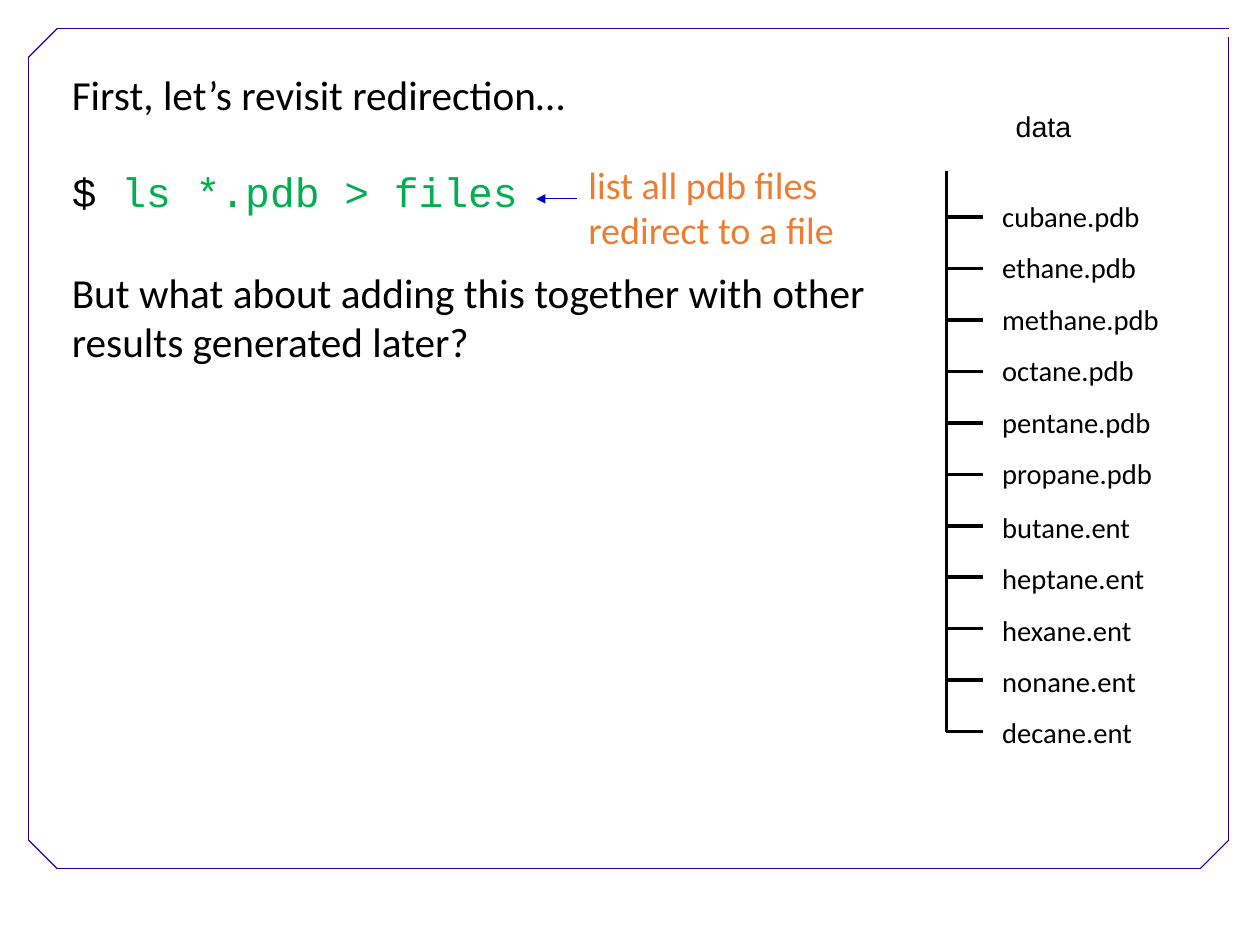
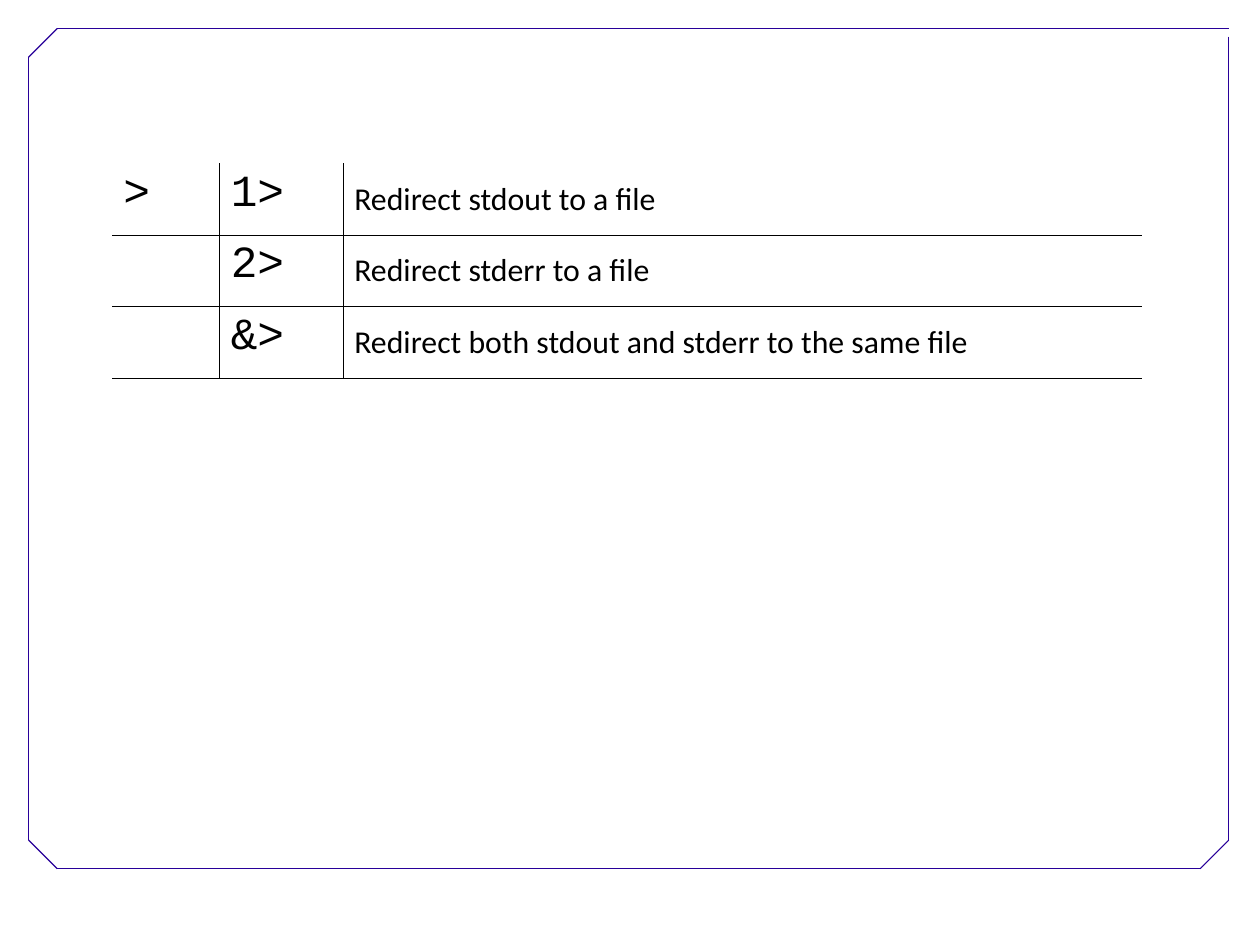
from itertools import pairwise

from lxml import etree
from pptx import Presentation
from pptx import util as u
from pptx.dml.color import RGBColor
from pptx.enum import shapes, text
from pptx.oxml import ns

COLORS = {"frame": "280099", "ink": "000000", "code": "00B050",
          "note": "ED7D31", "arrow": "0000CC"}
BODY, CODE, LABEL = "Calibri", "Courier New", "Arial"
PLAIN_TABLE = "{2D5ABB26-0587-4C30-8999-92F81FD0307C}"
# Open outline with cut corners, running clockwise from the right side
FRAME = [(10.75, 0.32), (10.75, 7.35), (10.5, 7.6), (0.5, 7.6),
         (0.25, 7.35), (0.25, 0.5), (0.5, 0.25), (10.75, 0.25)]


def rgb(color):
    return RGBColor.from_string(COLORS[color])


class Slides:
    def __init__(self):
        self.deck = Presentation()
        # The page is 28 by 21 cm
        self.deck.slide_width = u.Cm(28)
        self.deck.slide_height = u.Cm(21)
        self.page = None

    def new_page(self):
        self.page = self.deck.slides.add_slide(self.deck.slide_layouts[6])
        for start, end in pairwise(FRAME):
            self.line(start, end, "frame")

    def line(self, start, end, color="ink", width=0.75, arrow=False):
        ends = [u.Inches(value) for value in (*start, *end)]
        line = self.page.shapes.add_connector(shapes.MSO_CONNECTOR.STRAIGHT, *ends)
        line.line.color.rgb = rgb(color)
        line.line.width = u.Pt(width)
        if arrow:
            outline = line._element.spPr.find(ns.qn("a:ln"))
            etree.SubElement(outline, ns.qn("a:tailEnd"), type="triangle")
        etree.SubElement(line._element.spPr, ns.qn("a:effectLst"))

    def style(self, font, name, size, color="ink"):
        font.name = name
        font.size = u.Pt(size)
        font.color.rgb = rgb(color)

    def text(self, place, lines, size, font=BODY, color="ink", wrap=True,
             spacing=None, align=None):
        """Write one paragraph per line and return the paragraphs."""
        box = self.page.shapes.add_textbox(*map(u.Inches, place))
        frame = box.text_frame
        frame.word_wrap = wrap
        if not wrap:
            frame.auto_size = text.MSO_AUTO_SIZE.SHAPE_TO_FIT_TEXT
        frame.text = "\n".join(lines)
        for para in frame.paragraphs:
            para.line_spacing = spacing
            para.alignment = align
            self.style(para.font, font, size, color)
        return frame.paragraphs

    def border(self, cell, sides):
        props = cell._tc.get_or_add_tcPr()
        for side in sides:
            edge = etree.SubElement(props, ns.qn(f"a:ln{side}"), w=str(u.Pt(0.45)))
            fill = etree.SubElement(edge, ns.qn("a:solidFill"))
            etree.SubElement(fill, ns.qn("a:srgbClr"), val=COLORS["ink"])

    def table(self, place, widths, rows):
        holder = self.page.shapes.add_table(len(rows), len(widths), *map(u.Inches, place))
        table = holder.table
        table.first_row = table.horz_banding = False
        table._tbl.tblPr.find(ns.qn("a:tableStyleId")).text = PLAIN_TABLE
        for column, width in zip(table.columns, widths):
            column.width = u.Inches(width)
        last = len(widths) - 1
        for r, row in enumerate(rows):
            for c, words in enumerate(row):
                cell = table.cell(r, c)
                # Inner rules plus the bottom edge
                sides = "L" * (c > 0) + "R" * (c < last) + "T" * (r > 0) + "B"
                self.border(cell, sides)
                cell.fill.background()
                cell.text = words
                para = cell.text_frame.paragraphs[0]
                para.line_spacing = 0.93
                if c == last:
                    cell.vertical_anchor = text.MSO_ANCHOR.MIDDLE
                    self.style(para.font, BODY, 20)
                else:
                    self.style(para.font, CODE, 28)


def redirection_page(slides):
    slides.new_page()

    # Directory tree
    pdb_files = [f"{name}.pdb" for name in
                 ("cubane", "ethane", "methane", "octane", "pentane", "propane")]
    ent_files = [f"{name}.ent" for name in
                 ("butane", "heptane", "hexane", "nonane", "decane")]
    trunk, first, step = 8.28, 1.9, 0.45
    count = len(pdb_files) + len(ent_files)
    slides.text((8.78, 0.93, 0.7, 0.38), ["data"], 18, LABEL, wrap=False,
                spacing=0.93, align=text.PP_ALIGN.CENTER)
    slides.text((8.67, 1.54, 1.57, 2.8), pdb_files, 18, wrap=False, spacing=1.5)
    slides.text((8.67, 4.26, 1.45, 2.35), ent_files, 18, wrap=False, spacing=1.5)
    slides.line((trunk, 1.5), (trunk, first + step * (count - 1)), width=2.25)
    for i in range(count):
        y = first + step * i
        slides.line((trunk, y), (8.6, y), width=2.25)

    # Explanation and command
    _, command, question = slides.text((0.53, 0.56, 7.73, 3.13), [
        "First, let’s revisit redirection…",
        "$ ",
        "But what about adding this together with other results generated later?",
    ], 26)
    command.font.name = CODE
    command.space_before = u.Pt(29.5)
    question.space_before = u.Pt(32.5)
    span = command.add_run()
    span.text = "ls *.pdb > files"
    span.font.color.rgb = rgb("code")

    # Note on the command
    slides.text((5.05, 1.36, 2.6, 0.94), ["list all pdb files", "redirect to a file"],
                24, color="note")
    slides.line((5.05, 1.74), (4.69, 1.74), "arrow", arrow=True)


def operators_page(slides):
    slides.new_page()
    slides.table((0.98, 1.43, 9.01, 1.88), [0.94, 1.08, 6.99], [
        (">", "1>", "Redirect stdout to a file"),
        ("", "2>", "Redirect stderr to a file"),
        ("", "&>", "Redirect both stdout and stderr to the same file"),
    ])


def main():
    slides = Slides()
    redirection_page(slides)
    operators_page(slides)
    slides.deck.save("out.pptx")


if __name__ == "__main__":
    main()
